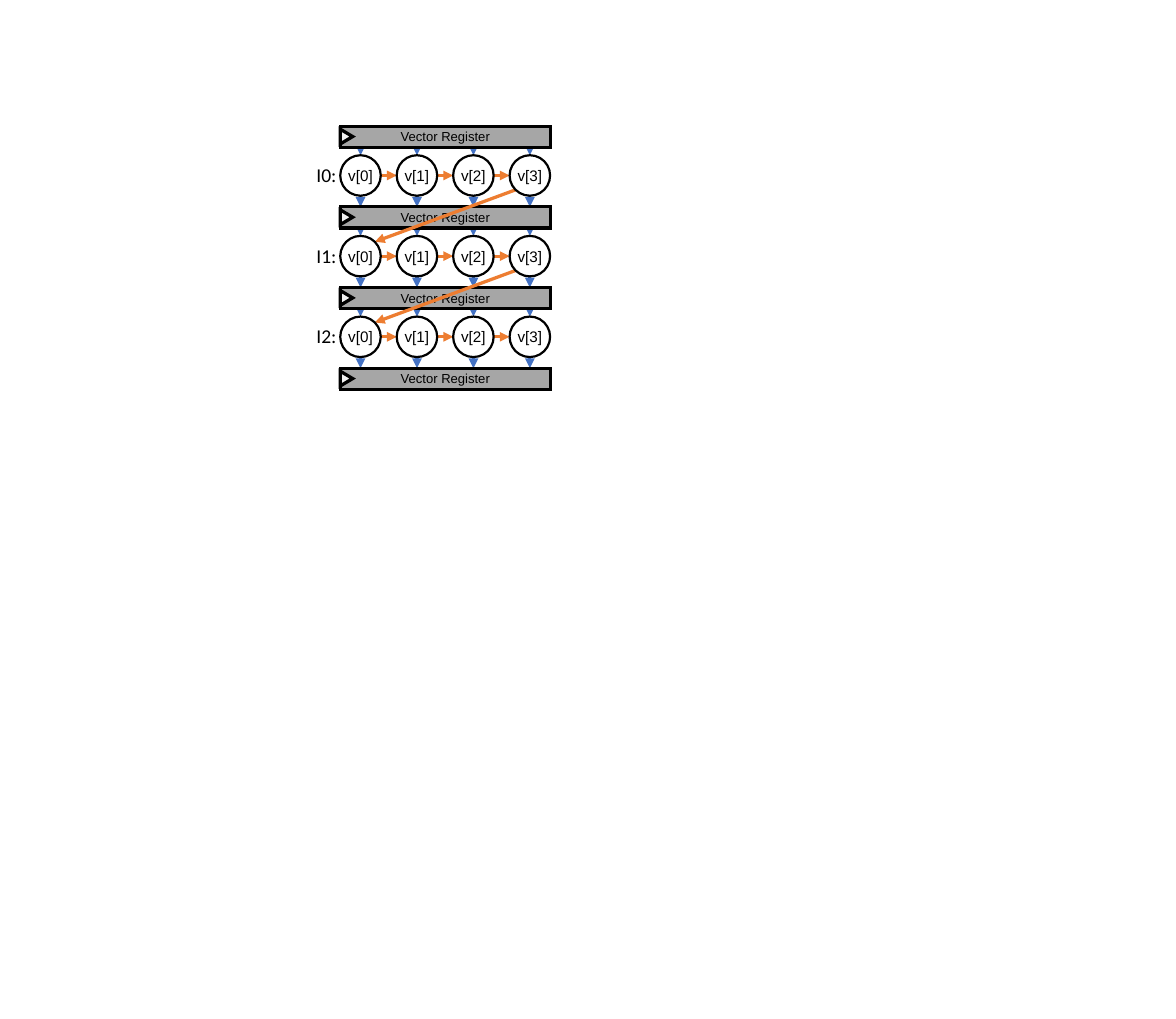
from dataclasses import dataclass

from lxml import etree
from pptx import Presentation
from pptx.dml.color import RGBColor
from pptx.enum.shapes import MSO_CONNECTOR, MSO_SHAPE
from pptx.enum.text import MSO_ANCHOR, MSO_AUTO_SIZE, PP_ALIGN
from pptx.oxml.ns import qn
from pptx.util import Pt

RECTANGLE = MSO_SHAPE.RECTANGLE
TRIANGLE = MSO_SHAPE.ISOSCELES_TRIANGLE
OVAL = MSO_SHAPE.OVAL
STRAIGHT = MSO_CONNECTOR.STRAIGHT
MIDDLE = MSO_ANCHOR.MIDDLE
CENTER = PP_ALIGN.CENTER
LEFT = PP_ALIGN.LEFT
FIT_SHAPE = MSO_AUTO_SIZE.SHAPE_TO_FIT_TEXT


@dataclass(frozen=True)
class Theme:
    """Colours, fonts, type sizes and line widths of the diagram."""

    black: str = "000000"
    white: str = "FFFFFF"
    register: str = "A6A6A6"
    clock: str = "F2F2F2"
    vertical: str = "4472C4"
    chain: str = "ED7D31"
    font: str = "Arial"
    label_font: str = "Calibri"
    register_size: float = 12
    element_size: float = 14
    label_size: float = 18
    heavy: float = 3
    light: float = 2


THEME = Theme()
ROWS, COLUMNS = 3, 4
LEFT_EDGE, TOP_EDGE = 312.5, 115.9
ROW_PITCH, COLUMN_PITCH = 74.1, 51.84
REGISTER_WIDTH, REGISTER_HEIGHT = 193, 19.4
CIRCLE_SIZE, CIRCLE_DROP = 37.2, 26.7
RADIUS = CIRCLE_SIZE / 2
DIAGONAL = RADIUS * 0.71


def register_top(row):
    """Return the top of the register above a row."""
    return TOP_EDGE + row * ROW_PITCH


def circle_center(row, column):
    """Return the centre of a vector element."""
    return (LEFT_EDGE + column * COLUMN_PITCH + RADIUS,
            register_top(row) + CIRCLE_DROP + RADIUS)


def write_text(shape, text, *, size, font, align=CENTER, insets=None):
    """Write one formatted paragraph into a shape."""
    frame = shape.text_frame
    if insets is not None:
        frame.margin_left = frame.margin_right = Pt(insets[0])
        frame.margin_top = frame.margin_bottom = Pt(insets[1])
    paragraph = frame.paragraphs[0]
    paragraph.alignment = align
    run = paragraph.add_run()
    run.text = text
    run.font.size = Pt(size)
    run.font.name = font
    run.font.color.rgb = RGBColor.from_string(THEME.black)


def add_outlined(shapes, kind, left, top, width, height, *, fill, line_width):
    """Add a filled preset shape with a black mitred outline."""
    shape = shapes.add_shape(kind, Pt(left), Pt(top), Pt(width), Pt(height))
    shape.shadow.inherit = False
    shape.fill.solid()
    shape.fill.fore_color.rgb = RGBColor.from_string(fill)
    shape.line.color.rgb = RGBColor.from_string(THEME.black)
    shape.line.width = Pt(line_width)
    outline = shape.element.spPr.find(qn("a:ln"))
    etree.SubElement(outline, qn("a:miter"), lim="800000")
    shape.text_frame.vertical_anchor = MIDDLE
    return shape


def add_arrow(slide, begin, end, color):
    """Add a straight arrow between two points."""
    connector = slide.shapes.add_connector(STRAIGHT, *map(Pt, begin + end))
    connector.line.color.rgb = RGBColor.from_string(color)
    connector.line.width = Pt(THEME.heavy)
    properties = connector.element.spPr
    etree.SubElement(properties.find(qn("a:ln")), qn("a:tailEnd"), type="triangle")
    etree.SubElement(properties, qn("a:effectLst"))


def add_register(slide, row):
    """Add a vector register with its clock mark as one group."""
    group = slide.shapes.add_group_shape()
    top = register_top(row)
    bar = add_outlined(group.shapes, RECTANGLE, LEFT_EDGE, top, REGISTER_WIDTH,
                       REGISTER_HEIGHT, fill=THEME.register, line_width=THEME.heavy)
    write_text(bar, "Vector Register", size=THEME.register_size,
               font=THEME.font, insets=(7.2, 3.6))
    clock = add_outlined(group.shapes, TRIANGLE, LEFT_EDGE - 1.2, top + 3.8, 13.7,
                         11.5, fill=THEME.clock, line_width=THEME.heavy)
    clock.rotation = 90


def add_element(slide, row, column):
    """Add the circle of one vector element."""
    x, y = circle_center(row, column)
    circle = add_outlined(slide.shapes, OVAL, x - RADIUS, y - RADIUS, CIRCLE_SIZE,
                          CIRCLE_SIZE, fill=THEME.white, line_width=THEME.light)
    circle.text_frame.word_wrap = True
    write_text(circle, f"v[{column}]", size=THEME.element_size,
               font=THEME.font, insets=(0, 0))


def add_row_label(slide, row):
    """Add the instruction label to the left of a row."""
    box = slide.shapes.add_textbox(Pt(283.5), Pt(register_top(row) + 30.2),
                                   Pt(33.2), Pt(29))
    box.text_frame.word_wrap = False
    box.text_frame.auto_size = FIT_SHAPE
    write_text(box, f"I{row}:", size=THEME.label_size,
               font=THEME.label_font, align=LEFT)


def add_vertical_arrows(slide, row, column):
    """Add the arrows from register to element and on to the next register."""
    x, y = circle_center(row, column)
    add_arrow(slide, (x, register_top(row) + REGISTER_HEIGHT),
              (x, y - RADIUS), THEME.vertical)
    add_arrow(slide, (x, y + RADIUS), (x, register_top(row + 1)), THEME.vertical)


def add_chain_arrow(slide, row, column):
    """Add the arrow from one element to the next in its row."""
    x, y = circle_center(row, column)
    next_x, next_y = circle_center(row, column + 1)
    add_arrow(slide, (x + RADIUS, y), (next_x - RADIUS, next_y), THEME.chain)


def add_return_arrow(slide, row):
    """Add the arrow from the last element to the first of the next row."""
    x, y = circle_center(row, COLUMNS - 1)
    next_x, next_y = circle_center(row + 1, 0)
    add_arrow(slide, (x - DIAGONAL, y + DIAGONAL),
              (next_x + DIAGONAL, next_y - DIAGONAL), THEME.chain)


def main():
    """Build the vector pipeline slide."""
    presentation = Presentation()
    presentation.slide_width, presentation.slide_height = Pt(1080), Pt(936)
    slide = presentation.slides.add_slide(presentation.slide_layouts[6])
    cells = [(row, column) for row in range(ROWS) for column in range(COLUMNS)]
    for row, column in cells:
        add_vertical_arrows(slide, row, column)
    for row in range(ROWS + 1):
        add_register(slide, row)
    for row, column in cells:
        if column < COLUMNS - 1:
            add_chain_arrow(slide, row, column)
    for row in range(ROWS - 1):
        add_return_arrow(slide, row)
    for row, column in cells:
        add_element(slide, row, column)
    for row in range(ROWS):
        add_row_label(slide, row)
    presentation.save("out.pptx")


if __name__ == "__main__":
    main()
